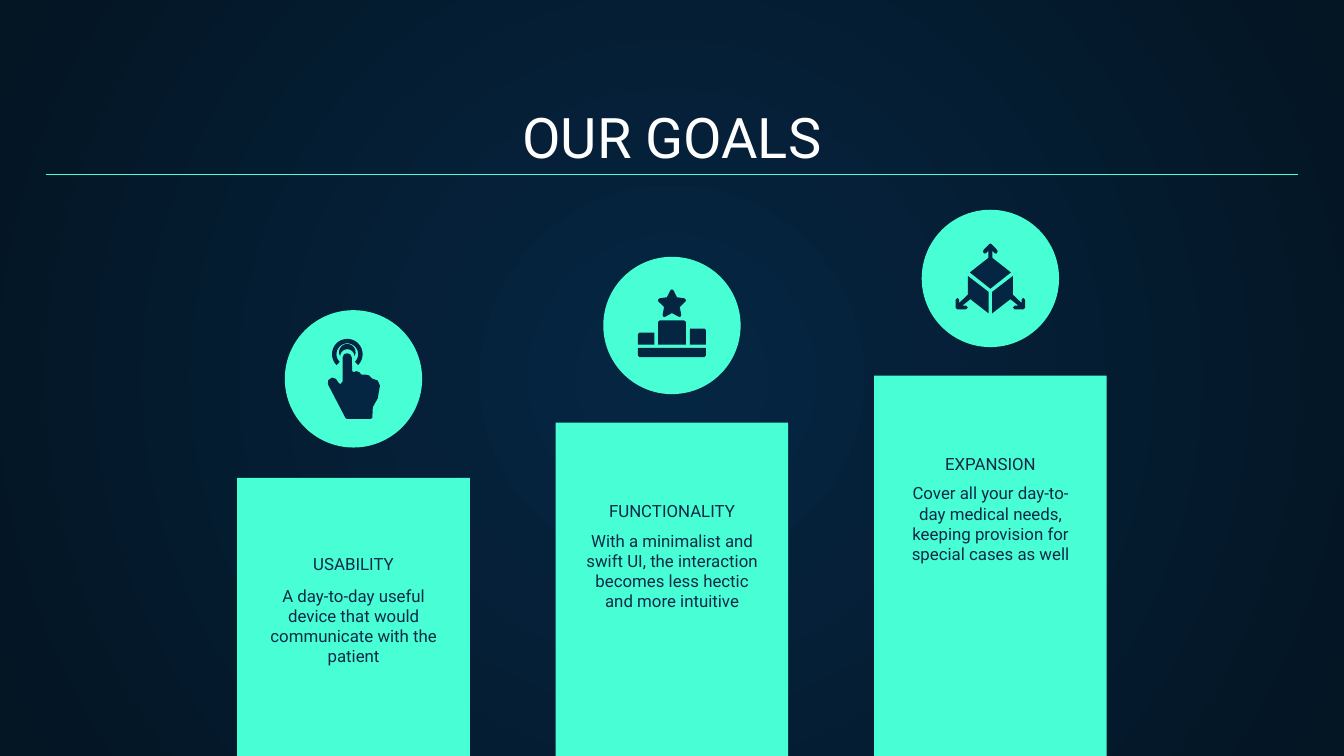
import math
from lxml import etree
from pptx import Presentation
from pptx.dml.color import RGBColor
from pptx.enum.shapes import MSO_CONNECTOR, MSO_SHAPE
from pptx.enum.text import MSO_ANCHOR, PP_ALIGN
from pptx.oxml.ns import qn
from pptx.util import Pt

RECT, OVAL = MSO_SHAPE.RECTANGLE, MSO_SHAPE.OVAL
STRAIGHT = MSO_CONNECTOR.STRAIGHT
TOP, BOTTOM = MSO_ANCHOR.TOP, MSO_ANCHOR.BOTTOM
CENTER = PP_ALIGN.CENTER

MINT, NAVY, EDGE, INK, WHITE = "48FFD5", "052643", "041523", "0E2A47", "FFFFFF"
FONT = "Roboto"
MIDDLE_X, COLUMN_STEP = 360, 170.6
BAR_WIDTH, BAR_BOTTOM = 124.6, 407.4
DISC = 73.6


def rgb(value):
    return RGBColor.from_string(value)


def mirrored(left_half):
    """Close a left half into an outline symmetric about x = 0."""
    return left_half + flipped(left_half)[::-1]


def flipped(points):
    return [(-x, y) for x, y in points]


def arc(cx, cy, radius, start, end, steps=32):
    """Points along an arc, angles in degrees, clockwise from the right."""
    angles = [math.radians(start + (end - start) * i / steps)
              for i in range(steps + 1)]
    return [(cx + radius * math.cos(a), cy + radius * math.sin(a)) for a in angles]


# Icon outlines, in points from the centre of their disc
TOUCH_ICON = [
    arc(-3.3, -13.2, 8.2, 135, 405) + arc(-3.3, -13.2, 5.8, 405, 135),
    arc(-3.3, -14.3, 4.4, 155, 385) + arc(-3.3, -12.1, 3.8, 355, 185),
    [(-3.4, -13.7), (-5, -13.2), (-5.8, -11.5), (-5.8, 1.4), (-7, 2.9),
     (-7.9, 2.2), (-9.4, 0), (-11.5, -0.7), (-13.5, 0.7), (-13.7, 2.9),
     (-4.3, 20.9), (-3.6, 21.4), (9.4, 21.4), (10.1, 20.9), (10.4, 15.1),
     (13, 10.5), (14.2, 3.6), (13, 0.9), (10.4, 0), (9.4, -0.7), (8.4, -1.8),
     (6.5, -2.3), (4.3, -2.2), (3.2, -3.5), (1.6, -4.1), (0.1, -3.6),
     (-0.7, -4.1), (-0.9, -11.5), (-1.8, -13.2)],
]
PODIUM_ICON = [
    mirrored([(0, -19.4), (-0.9, -18.7), (-2.7, -15.1), (-6.8, -14.5),
              (-7.6, -13.5), (-7.2, -12.8), (-4.2, -9.9), (-5, -5.6),
              (-4.6, -4.7), (-3.8, -4.6), (0, -6.6)]),
    [(9.6, 1.6), (17.4, 1.6), (18.2, 2.4), (18.2, 10.2), (9.6, 10.2)],
    mirrored([(-6.6, -2.7), (-7.4, -1.9), (-7.4, 10.2)]),
    mirrored([(-18.2, 12), (-18.2, 16.1), (-17.4, 16.9)]),
    [(-9.4, 3.8), (-17.4, 3.8), (-18.2, 4.6), (-18.2, 10.2), (-9.4, 10.2)],
]
CUBE_SIDE = [(12.1, -1.4), (0.9, 7.2), (0.9, 18.7), (10.7, 11.1), (15.1, 14.6),
             (13, 14.6), (12.1, 15.5), (13, 16.6), (17.7, 16.6), (18.6, 15.7),
             (18.6, 11.4), (17.6, 10.4), (16.7, 11.4), (16.7, 13.1), (12.1, 8.7)]
CUBE_ICON = [
    CUBE_SIDE,
    flipped(CUBE_SIDE),
    mirrored([(0, -18.7), (-0.6, -18.4), (-3.7, -15.2), (-3.9, -14.2),
              (-3.2, -13.3), (-2.2, -13.6), (-1.1, -14.8), (-1.1, -11),
              (-11, -3.2), (0, 5.5)]),
]

# Heading, body, bar top, disc top, icon
GOALS = [
    ("USABILITY", "A day-to-day useful device that would communicate with the patient",
     256, 166.2, TOUCH_ICON),
    ("FUNCTIONALITY", "With a minimalist and swift UI, the interaction becomes "
     "less hectic and more intuitive", 226.5, 137.6, PODIUM_ICON),
    ("EXPANSION", "Cover all your day-to-day medical needs, keeping provision "
     "for special cases as well", 201.2, 112.4, CUBE_ICON),
]


def paint(sp, color):
    sp.shadow.inherit = False
    sp.fill.solid()
    sp.fill.fore_color.rgb = rgb(color)
    sp.line.fill.background()


def add_background(s):
    """Fill the slide with a gradient that spreads from its centre."""
    fill = s.background.fill
    fill.gradient()
    for stop, color in zip(fill.gradient_stops, (NAVY, EDGE)):
        stop.color.rgb = rgb(color)
    for i, stop in enumerate(fill.gradient_stops):
        stop.position = i
    grad = s.element.find(".//" + qn("a:gradFill"))
    grad.remove(grad.find(qn("a:lin")))
    circle = etree.SubElement(grad, qn("a:path"), {"path": "circle"})
    etree.SubElement(circle, qn("a:fillToRect"),
                     {side: "50000" for side in "ltrb"})


def add_block(s, kind, x, y, w, h):
    sp = s.shapes.add_shape(kind, Pt(x), Pt(y), Pt(w), Pt(h))
    paint(sp, MINT)


def add_text(s, text, x, y, w, h, size, color, anchor):
    tf = s.shapes.add_textbox(Pt(x), Pt(y), Pt(w), Pt(h)).text_frame
    tf.word_wrap = True
    tf.vertical_anchor = anchor
    tf.margin_left = tf.margin_right = tf.margin_top = tf.margin_bottom = Pt(7.2)
    p = tf.paragraphs[0]
    p.alignment = CENTER
    r = p.add_run()
    r.text = text
    r.font.name, r.font.size = FONT, Pt(size)
    r.font.color.rgb = rgb(color)


def add_icon(s, outlines, cx, cy):
    group = s.shapes.add_group_shape()
    for outline in outlines:
        points = [(Pt(cx + x), Pt(cy + y)) for x, y in outline]
        builder = group.shapes.build_freeform(*points[0])
        builder.add_line_segments(points[1:], close=True)
        paint(builder.convert_to_shape(), NAVY)


def add_rule(s, x1, x2, y):
    line = s.shapes.add_connector(STRAIGHT, Pt(x1), Pt(y), Pt(x2), Pt(y))
    line.line.color.rgb = rgb(MINT)
    line.line.width = Pt(0.75)
    etree.SubElement(line.element.spPr, qn("a:effectLst"))


def add_goal(s, cx, heading, body, bar_top, disc_top, icon):
    add_block(s, RECT, cx - BAR_WIDTH / 2, bar_top, BAR_WIDTH, BAR_BOTTOM - bar_top)
    add_text(s, body, cx - 54.7, bar_top + 50.4, 109.4, 39.6, 9, INK, TOP)
    add_text(s, heading, cx - 81.7, disc_top + 131.8, 163.4, 15.1, 9, INK, BOTTOM)
    add_block(s, OVAL, cx - DISC / 2, disc_top, DISC, DISC)
    add_icon(s, icon, cx, disc_top + DISC / 2)


def main():
    prs = Presentation()
    prs.slide_width, prs.slide_height = Pt(720), Pt(405)
    s = prs.slides.add_slide(prs.slide_layouts[6])
    add_background(s)
    add_text(s, "OUR GOALS", 24.5, 50.4, 671, 47.5, 30, WHITE, BOTTOM)
    for i, goal in enumerate(GOALS):
        add_goal(s, MIDDLE_X + (i - 1) * COLUMN_STEP, *goal)
    add_rule(s, 24.5, 695.5, 93.6)
    prs.save("out.pptx")


if __name__ == "__main__":
    main()
